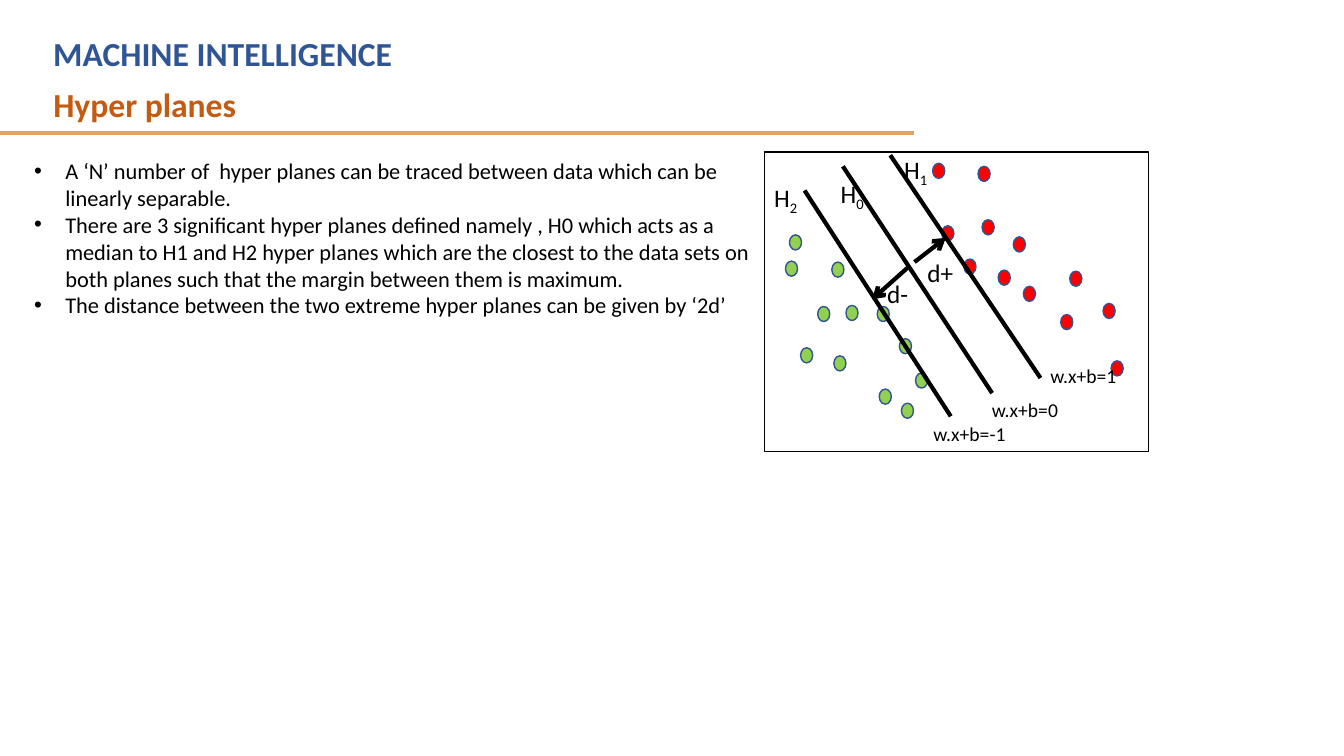
from lxml.etree import SubElement
from pptx import Presentation
from pptx.dml.color import RGBColor
from pptx.enum.shapes import MSO_CONNECTOR, MSO_SHAPE
from pptx.enum.text import MSO_AUTO_SIZE
from pptx.oxml.ns import qn
from pptx.util import Inches, Pt

BLUE = RGBColor(0x2F, 0x55, 0x97)
ORANGE = RGBColor(0xC5, 0x5A, 0x11)
TAN = RGBColor(0xDF, 0xA2, 0x67)
BLACK = RGBColor(0, 0, 0)
GREEN = RGBColor(0x92, 0xD0, 0x50)
RED = RGBColor(0xFF, 0, 0)
DOT_LINE = RGBColor(0x32, 0x54, 0x91)

POINTS = [
    "A ‘N’ number of  hyper planes can be traced between data which can be linearly separable.",
    "There are 3 significant hyper planes defined namely , H0 which acts as a median to H1 and H2 "
    "hyper planes which are the closest to the data sets on both planes such that the margin "
    "between them is maximum.",
    "The distance between the two extreme hyper planes can be given by ‘2d’",
]
GREEN_DOTS = [
    (7.83, 2.33), (7.79, 2.59), (8.25, 2.6), (8.39, 3.03), (8.11, 3.04), (8.27, 3.53),
    (7.94, 3.45), (8.72, 3.86), (8.94, 4), (9.08, 3.7), (8.92, 3.36), (8.7, 3.04),
]
RED_DOTS = [
    (9.34, 2.24), (9.56, 2.57), (9.9, 2.68), (10.15, 2.84), (10.52, 3.12), (11.02, 3.58),
    (10.94, 3.01), (10.61, 2.69), (10.05, 2.35), (9.74, 2.18), (9.7, 1.65), (9.25, 1.62),
]
PLANES = [(8.83, 1.54, 10.32, 3.75), (7.98, 1.89, 9.43, 4.13), (8.36, 1.65, 9.84, 3.9)]
MARGINS = [(9.07, 2.6, 9.38, 2.36), (9.02, 2.64, 8.65, 2.97)]
PLANE_NAMES = [("0", 8.24, 1.72), ("2", 7.58, 1.76), ("1", 8.87, 1.48)]
EQUATIONS = [("w.x+b=0", 9.74, 3.9), ("w.x+b=1", 10.32, 3.56), ("w.x+b=-1", 9.16, 4.14)]
DISTANCES = [("d+", 9.1, 2.5), ("d-", 8.7, 2.71)]


def add_box(s, x, y, w, h):
    tf = s.shapes.add_textbox(Inches(x), Inches(y), Inches(w), Inches(h)).text_frame
    tf.word_wrap = True
    tf.auto_size = MSO_AUTO_SIZE.SHAPE_TO_FIT_TEXT
    return tf


def add_run(p, text, size, color=BLACK, bold=False):
    r = p.add_run()
    r.text = text
    r.font.name = "Calibri"
    r.font.size = Pt(size)
    r.font.color.rgb = color
    r.font.bold = bold
    return r


def add_label(s, text, x, y, w, h, size, color=BLACK, bold=False):
    p = add_box(s, x, y, w, h).paragraphs[0]
    add_run(p, text, size, color, bold)
    return p


def add_plane_name(s, index, x, y):
    p = add_label(s, "H", x, y, 0.46, 0.4, 18)
    r = add_run(p, index, 18)
    r._r.get_or_add_rPr().set("baseline", "-25000")


def add_bullets(s, points, x, y, w, h):
    tf = add_box(s, x, y, w, h)
    for i, point in enumerate(points):
        p = tf.add_paragraph() if i else tf.paragraphs[0]
        pPr = p._p.get_or_add_pPr()
        pPr.set("marL", str(Inches(0.31)))
        pPr.set("indent", str(-Inches(0.31)))
        SubElement(pPr, qn("a:buFont"), typeface="Arial")
        SubElement(pPr, qn("a:buChar"), char="•")
        add_run(p, point, 16)


def add_line(s, x1, y1, x2, y2, color=BLACK, arrow=False):
    line = s.shapes.add_connector(
        MSO_CONNECTOR.STRAIGHT, Inches(x1), Inches(y1), Inches(x2), Inches(y2))
    line.line.color.rgb = color
    line.line.width = Pt(3)
    if arrow:
        SubElement(line.line._get_or_add_ln(), qn("a:tailEnd"), type="arrow")
    SubElement(line._element.spPr, qn("a:effectLst"))


def add_outline(s, kind, x, y, w, h, color, fill=None):
    sp = s.shapes.add_shape(kind, Inches(x), Inches(y), Inches(w), Inches(h))
    sp.shadow.inherit = False
    sp.line.color.rgb = color
    sp.line.width = Pt(1)
    if fill is None:
        sp.fill.background()
    else:
        sp.fill.solid()
        sp.fill.fore_color.rgb = fill


def add_diagram(s):
    add_outline(s, MSO_SHAPE.RECTANGLE, 7.58, 1.51, 3.81, 2.97, BLACK)
    for dots, fill in ((GREEN_DOTS, GREEN), (RED_DOTS, RED)):
        for x, y in dots:
            add_outline(s, MSO_SHAPE.OVAL, x, y, 0.12, 0.15, DOT_LINE, fill)
    for ends in PLANES:
        add_line(s, *ends)
    for ends in MARGINS:
        add_line(s, *ends, arrow=True)
    for index, x, y in PLANE_NAMES:
        add_plane_name(s, index, x, y)
    for text, x, y in EQUATIONS:
        add_label(s, text, x, y, 1, 0.34, 14)
    for text, x, y in DISTANCES:
        add_label(s, text, x, y, 0.47, 0.4, 18)


def main():
    prs = Presentation()
    prs.slide_width = Inches(13.33)
    prs.slide_height = Inches(7.5)
    s = prs.slides.add_slide(prs.slide_layouts[6])
    add_line(s, -0.01, 1.32, 9.07, 1.32, TAN)
    add_label(s, "MACHINE INTELLIGENCE", 0.43, 0.28, 8.2, 0.5, 24, BLUE, True)
    add_label(s, "Hyper planes", 0.43, 0.78, 8.75, 0.5, 24, ORANGE, True)
    add_bullets(s, POINTS, 0.24, 1.51, 7.34, 1.72)
    add_diagram(s)
    prs.save("out.pptx")


if __name__ == "__main__":
    main()
